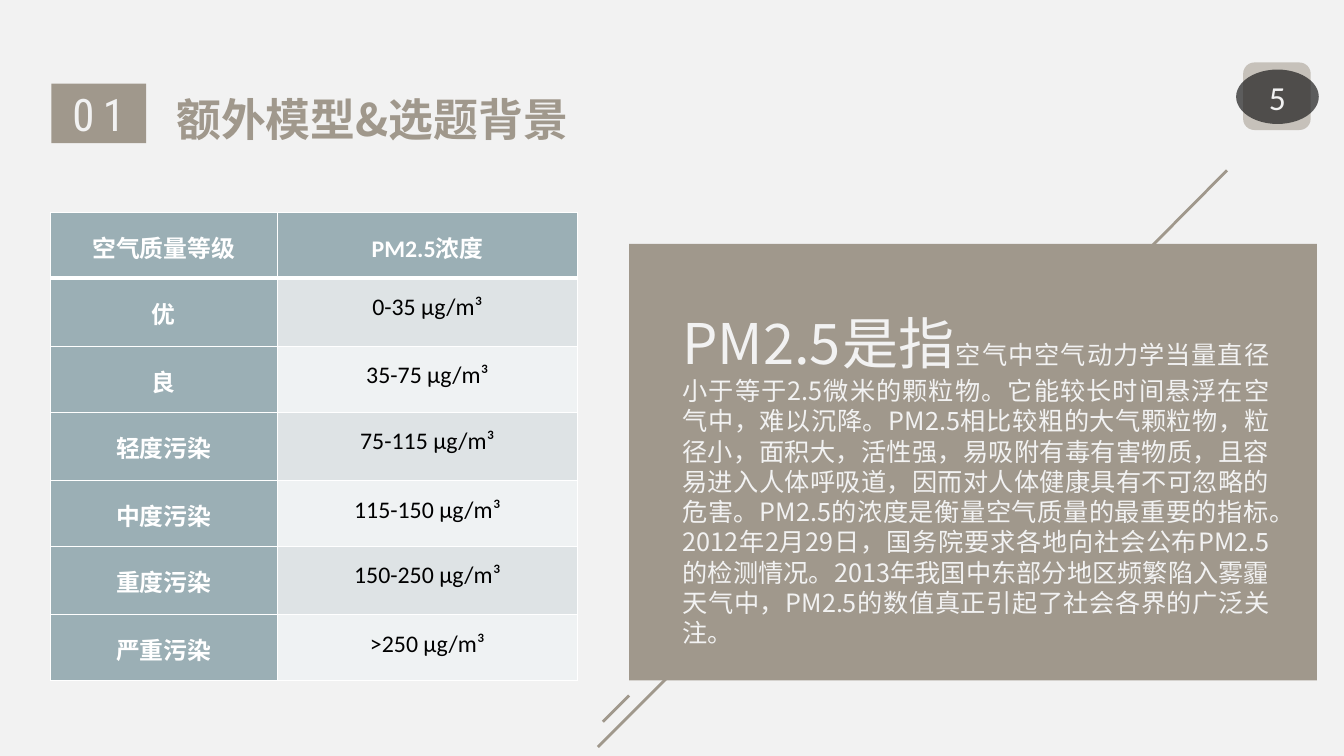
"""Builds the slide on PM2.5 levels and the background of the topic."""
import pptx
import pptx.util
import pptx.dml.color
import pptx.enum.shapes
import pptx.enum.text
import pptx.oxml
import pptx.oxml.ns
from lxml import etree
from pptx.util import Inches, Pt

SECTION = "01"
TITLE = "额外模型&选题背景"
PAGE = "5"
LEAD = "PM2.5是指"
DEFINITION = (
    "空气中空气动力学当量直径小于等于2.5微米的颗粒物。它能较长时间悬浮在空气中，难以沉降。"
    "PM2.5相比较粗的大气颗粒物，粒径小，面积大，活性强，易吸附有毒有害物质，且容易进入人体呼吸道，"
    "因而对人体健康具有不可忽略的危害。PM2.5的浓度是衡量空气质量的最重要的指标。"
    "2012年2月29日，国务院要求各地向社会公布PM2.5的检测情况。"
    "2013年我国中东部分地区频繁陷入雾霾天气中，PM2.5的数值真正引起了社会各界的广泛关注。"
)
LEVELS = [
    ("空气质量等级", "PM2.5浓度"),
    ("优", "0-35 μg/m³"),
    ("良", "35-75 μg/m³"),
    ("轻度污染", "75-115 μg/m³"),
    ("中度污染", "115-150 μg/m³"),
    ("重度污染", "150-250 μg/m³"),
    ("严重污染", ">250 μg/m³"),
]
COLUMN_WIDTHS = (2.25, 2.98)
ROW_HEIGHTS = (0.65, 0.68)
SLANTS = [(6.24, 6.9, 5.98, 7.16), (7.25, 6.09, 5.93, 7.41), (12.17, 1.69, 10.86, 3.01)]

THEME = {
    "paper": "F2F2F2", "taupe": "A0988C", "tab": "C6C1BA", "badge": "1D1D1D",
    "head": "9BAFB5", "bands": ("EFF2F3", "DEE3E5"), "white": "FFFFFF", "black": "000000",
    "title": 32, "lead": 40, "body": 18, "cell": 17, "page": 24,
    "cjk": "Noto Sans CJK SC", "latin": "Calibri", "number": "Roboto Condensed",
}
SHAPES = pptx.enum.shapes.MSO_SHAPE
ALIGN = pptx.enum.text.PP_ALIGN
MIDDLE = pptx.enum.text.MSO_ANCHOR.MIDDLE


def rgb(colour):
    return pptx.dml.color.RGBColor.from_string(colour)


def style(paragraph, size, face, colour, align=None, bold=False, line_spacing=None, tracking=None):
    paragraph.alignment = align
    paragraph.line_spacing = line_spacing
    font = paragraph.font
    font.name, font.bold = face, bold
    font.color.rgb = rgb(colour)
    if size:
        font.size = Pt(size)
    properties = paragraph._p.pPr.find(pptx.oxml.ns.qn("a:defRPr"))
    east_asian = etree.SubElement(properties, pptx.oxml.ns.qn("a:ea"))
    east_asian.set("typeface", THEME["cjk"])
    if tracking:
        properties.set("spc", str(tracking * 100))


def add_block(slide, kind, box, colour):
    block = slide.shapes.add_shape(kind, *map(Inches, box))
    block.shadow.inherit = False
    block.fill.solid()
    block.fill.fore_color.rgb = rgb(colour)
    block.line.fill.background()
    return block


def add_text(slide, box):
    frame = slide.shapes.add_textbox(*map(Inches, box)).text_frame
    frame.word_wrap = True
    frame.auto_size = pptx.enum.text.MSO_AUTO_SIZE.SHAPE_TO_FIT_TEXT
    return frame


def add_slant(slide, ends):
    slant = slide.shapes.add_connector(
        pptx.enum.shapes.MSO_CONNECTOR.STRAIGHT, *map(Inches, ends))
    slant.line.color.rgb = rgb(THEME["taupe"])
    slant.line.width = Pt(2)
    etree.SubElement(slant._element.spPr, pptx.oxml.ns.qn("a:effectLst"))


def set_borders(cell, widths):
    properties = cell._tc.get_or_add_tcPr()
    for side, width in widths.items():
        properties.append(pptx.oxml.parse_xml(
            f'<a:ln{side} {pptx.oxml.ns.nsdecls("a")} w="{Pt(width)}"><a:solidFill>'
            f'<a:srgbClr val="{THEME["white"]}"/></a:solidFill></a:ln{side}>'))


def add_levels(slide):
    heights = [ROW_HEIGHTS[row % 2] for row in range(len(LEVELS))]
    table = slide.shapes.add_table(
        len(LEVELS), len(COLUMN_WIDTHS), Inches(0.5), Inches(2.11),
        Inches(sum(COLUMN_WIDTHS)), Inches(sum(heights))).table
    for column, width in zip(table.columns, COLUMN_WIDTHS):
        column.width = Inches(width)
    for row, (height, values) in enumerate(zip(heights, LEVELS)):
        table.rows[row].height = Inches(height)
        for column, value in enumerate(values):
            cell = table.cell(row, column)
            heading = row == 0 or column == 0
            cell.margin_left = cell.margin_right = Inches(0.12)
            cell.margin_top = cell.margin_bottom = 0
            set_borders(cell, {"L": 1, "R": 1, "T": 3 if row == 1 else 1,
                               "B": 3 if row == 0 else 1})
            cell.fill.solid()
            cell.fill.fore_color.rgb = rgb(THEME["head"] if heading else THEME["bands"][row % 2])
            cell.text = value
            style(cell.text_frame.paragraphs[0], THEME["cell"], THEME["latin"],
                  THEME["white"] if heading else THEME["black"], ALIGN.CENTER, heading, 1.5)


def main():
    deck = pptx.Presentation()
    deck.slide_width, deck.slide_height = Inches(13.33), Inches(7.5)
    slide = deck.slides.add_slide(deck.slide_layouts[6])
    slide.background.fill.solid()
    slide.background.fill.fore_color.rgb = rgb(THEME["paper"])

    section = add_block(slide, SHAPES.RECTANGLE, (0.51, 0.83, 0.94, 0.59), THEME["taupe"]).text_frame
    section.text = SECTION
    section.vertical_anchor = MIDDLE
    style(section.paragraphs[0], THEME["title"], THEME["number"], THEME["paper"],
          ALIGN.CENTER, tracking=6)

    title = add_text(slide, (1.65, 0.75, 4.46, 0.66))
    title.text = TITLE
    style(title.paragraphs[0], THEME["title"], THEME["cjk"], THEME["taupe"],
          bold=True, line_spacing=1.2)

    add_block(slide, SHAPES.ROUNDED_RECTANGLE, (12.33, 0.62, 0.67, 0.67), THEME["tab"])
    add_block(slide, SHAPES.RECTANGLE, (6.24, 2.42, 6.82, 4.33), THEME["taupe"])
    for ends in SLANTS:
        add_slant(slide, ends)

    badge = add_block(slide, SHAPES.OVAL, (12.26, 0.69, 0.82, 0.54), THEME["badge"])
    tint = badge._element.spPr.find(".//" + pptx.oxml.ns.qn("a:srgbClr"))
    etree.SubElement(tint, pptx.oxml.ns.qn("a:alpha")).set("val", "70000")
    page = badge.text_frame
    page.margin_left = page.margin_right = Inches(0.02)
    page.vertical_anchor = MIDDLE
    page.text = PAGE
    style(page.paragraphs[0], THEME["page"], THEME["latin"], THEME["paper"], ALIGN.CENTER)

    passage = add_text(slide, (6.67, 3.01, 6.02, 3.8)).paragraphs[0]
    for words, size in ((LEAD, THEME["lead"]), (DEFINITION, THEME["body"])):
        run = passage.add_run()
        run.text = words
        run.font.size = Pt(size)
    style(passage, None, THEME["cjk"], THEME["paper"], ALIGN.JUSTIFY)

    add_levels(slide)
    deck.save("out.pptx")


if __name__ == "__main__":
    main()
